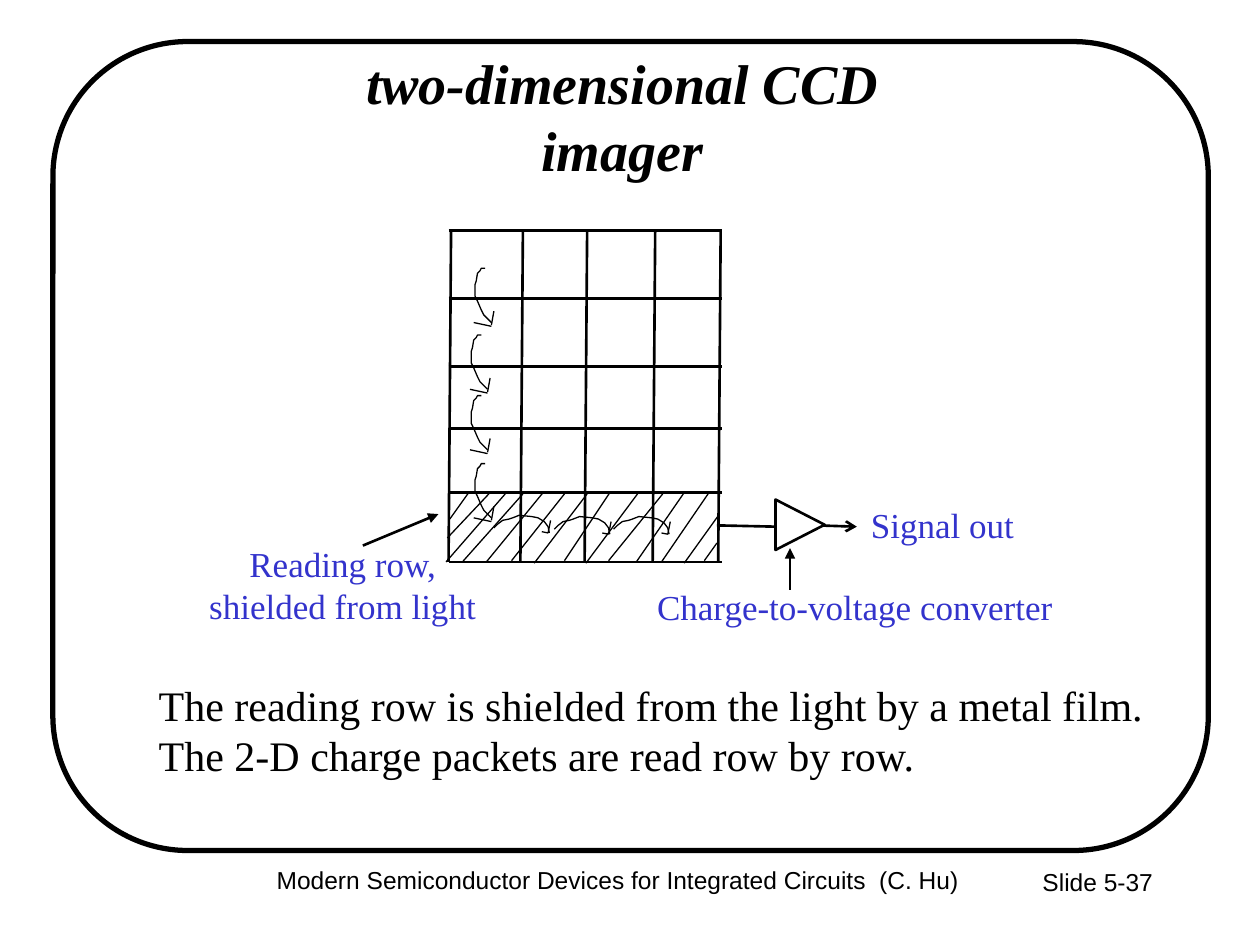
from lxml.etree import SubElement
from pptx import Presentation
from pptx.dml.color import RGBColor
from pptx.enum.shapes import MSO_CONNECTOR as CONN, MSO_SHAPE as SHAPE
from pptx.enum.text import MSO_ANCHOR as ANCHOR, MSO_AUTO_SIZE as AUTO, PP_ALIGN as ALIGN
from pptx.oxml.ns import qn
from pptx.util import Pt

PX = 9144
BLACK = RGBColor(0x00, 0x00, 0x00)
WHITE = RGBColor(0xFF, 0xFF, 0xFF)
BLUE = RGBColor(0x33, 0x33, 0xCC)
SERIF, SANS = "Times New Roman", "Arial"

DOWN_CURVE = [(0, 0), (-3, 0), (-4, 2), (-6, 4), (-7, 10), (-8, 13), (-8, 22),
              (-6, 26), (-3, 33), (-1, 37), (2, 40), (5, 43)]
DOWN_BARBS = [(7, 34, 5, 45), (-9, 43, 5, 46)]
SIDE_CURVE = [(0, 0), (3, -3), (7, -6), (12, -7), (15, -8), (20, -10), (30, -9),
              (35, -8), (40, -5), (43, -1), (44, 4)]
SIDE_BARBS = [(45, -6, 43, 4), (38, 3, 43, 4)]
HATCHES = [(16, 0, 1, 21), (32, 1, -1, 36), (45, 1, -2, 55), (59, 1, 11, 55),
           (75, 0, 30, 55), (92, 1, 50, 54), (110, 1, 68, 56), (128, 0, 92, 54),
           (150, 1, 109, 56), (170, 1, 127, 54), (187, 0, 149, 55),
           (206, 1, 169, 55), (215, 17, 187, 56), (213, 40, 203, 54)]


def place(sp, x, y, w, h):
    """Move and size a shape in px."""
    sp.left, sp.top, sp.width, sp.height = (v * PX for v in (x, y, w, h))


def outline(sp, width, fill=None):
    """Give a shape a black outline, an optional fill and no shadow."""
    sp.shadow.inherit = False
    sp.line.color.rgb = BLACK
    sp.line.width = Pt(width)
    if fill is None:
        sp.fill.background()
    else:
        sp.fill.solid()
        sp.fill.fore_color.rgb = fill


def line(s, x1, y1, x2, y2, width=1.5, head=None):
    """Draw a straight black line with an optional arrowhead at its end."""
    c = s.shapes.add_connector(CONN.STRAIGHT, *(v * PX for v in (x1, y1, x2, y2)))
    c.line.color.rgb = BLACK
    c.line.width = Pt(width)
    sp_pr = c.element.spPr
    if head:
        SubElement(sp_pr.find(qn("a:ln")), qn("a:tailEnd"), type=head)
    SubElement(sp_pr, qn("a:effectLst"))


def write(sp, text, size, color=BLACK, name=SERIF, align=ALIGN.CENTER):
    """Set one uniformly formatted paragraph in a shape."""
    tf = sp.text_frame
    tf.word_wrap = True
    tf.auto_size = AUTO.NONE
    tf.text = text
    p = tf.paragraphs[0]
    p.alignment = align
    p.space_before = Pt(0)
    p.font.size = Pt(size)
    p.font.name = name
    p.font.color.rgb = color
    return p


def label(s, x, y, w, h, text, size=20, **style):
    """Add a text box with a label."""
    write(s.shapes.add_textbox(*(v * PX for v in (x, y, w, h))), text, size, **style)


def title(s, x, y, w, h):
    """Fill the title placeholder."""
    sp = s.shapes.title
    place(sp, x, y, w, h)
    p = write(sp, "two-dimensional CCD imager", 32)
    p.font.bold = p.font.italic = True
    sp.text_frame.vertical_anchor = ANCHOR.MIDDLE


def body(s, x, y, w, h):
    """Fill the body placeholder with unbulleted text."""
    sp = s.placeholders[1]
    place(sp, x, y, w, h)
    p = write(sp, "The reading row is shielded from the light by a metal film. "
              "The 2-D charge packets are read row by row.", 24, align=ALIGN.LEFT)
    p_pr = p._p.get_or_add_pPr()
    p_pr.set("marL", "0")
    p_pr.set("indent", "0")
    bullet = SubElement(p_pr, qn("a:buNone"))
    p_pr.insert(list(p_pr).index(p_pr.find(qn("a:spcBef"))) + 1, bullet)


def transfer(s, x, y, curve, barbs):
    """Draw one curved charge-transfer arrow."""
    points = [(x + dx, y + dy) for dx, dy in curve]
    fb = s.shapes.build_freeform(*points[0], scale=PX)
    fb.add_line_segments(points[1:], close=False)
    outline(fb.convert_to_shape(), 0.75, WHITE)
    for x1, y1, x2, y2 in barbs:
        line(s, x + x1, y + y1, x + x2, y + y2, 0.75)


def imager(s, x, y, w, h):
    """Draw the pixel grid, its transfers and the hatched reading row."""
    for dx, dy in [(29, 30), (26, 83), (26, 131), (29, 185)]:
        transfer(s, x + dx, y + dy, DOWN_CURVE, DOWN_BARBS)
    for dx, dy in [(84, 237), (36, 236), (131, 237)]:
        transfer(s, x + dx, y + dy, SIDE_CURVE, SIDE_BARBS)
    for dy in (0, 54, 108, 157, 208, h):
        line(s, x, y + dy, x + w, y + dy)
    for dx in (0, 57, 108, 162, 214):
        line(s, x + dx + 2, y, x + dx, y + h)
    for x1, y1, x2, y2 in HATCHES:
        line(s, x + x1, y + 208 + y1, x + x2, y + 208 + y2, 0.75)


def converter(s, x, y):
    """Draw the output amplifier with its wires and labels."""
    line(s, x, y + 20, x + 47, y + 21)
    line(s, x + 79, y + 20, x + 111, y + 21, head="arrow")
    sp = s.shapes.add_shape(SHAPE.ISOSCELES_TRIANGLE, 0, 0, PX, PX)
    place(sp, x + 46, y, 40, 39)
    sp.rotation = 90
    outline(sp, 1.5, WHITE)
    label(s, x + 78, y - 2, 202, 44, "Signal out", color=BLUE)
    label(s, x - 87, y + 63, 393, 44, "Charge-to-voltage converter", color=BLUE)
    line(s, x + 58, y + 71, x + 58, y + 38, head="triangle")


def reading_row(s, x, y, w, h):
    """Label the reading row and point at it."""
    label(s, x, y, w, h, "Reading row, shielded from light", color=BLUE)
    line(s, x + 133, y + 7, x + 193, y - 18, head="triangle")


def frame(s, x, y, w, h):
    """Draw the rounded border with the footer below it."""
    sp = s.shapes.add_shape(SHAPE.FLOWCHART_ALTERNATE_PROCESS, 0, 0, PX, PX)
    place(sp, x, y, w, h)
    outline(sp, 3)
    label(s, x + 166, y + h + 7, 565, 50,
          "Modern Semiconductor Devices for Integrated Circuits  (C. Hu)", 14, name=SANS)
    label(s, x + 675, y + h + 8, 208, 50, "Slide 5-37", 14, name=SANS, align=ALIGN.RIGHT)


def main():
    """Build the slide and save it."""
    prs = Presentation()
    prs.slide_width, prs.slide_height = 1000 * PX, 750 * PX
    s = prs.slides.add_slide(prs.slide_layouts[1])
    frame(s, 42, 33, 917, 642)
    title(s, 211, 60, 566, 64)
    body(s, 116, 534, 809, 90)
    imager(s, 356, 183, 217, 263)
    converter(s, 569, 397)
    reading_row(s, 155, 426, 234, 77)
    prs.save("out.pptx")


if __name__ == "__main__":
    main()
